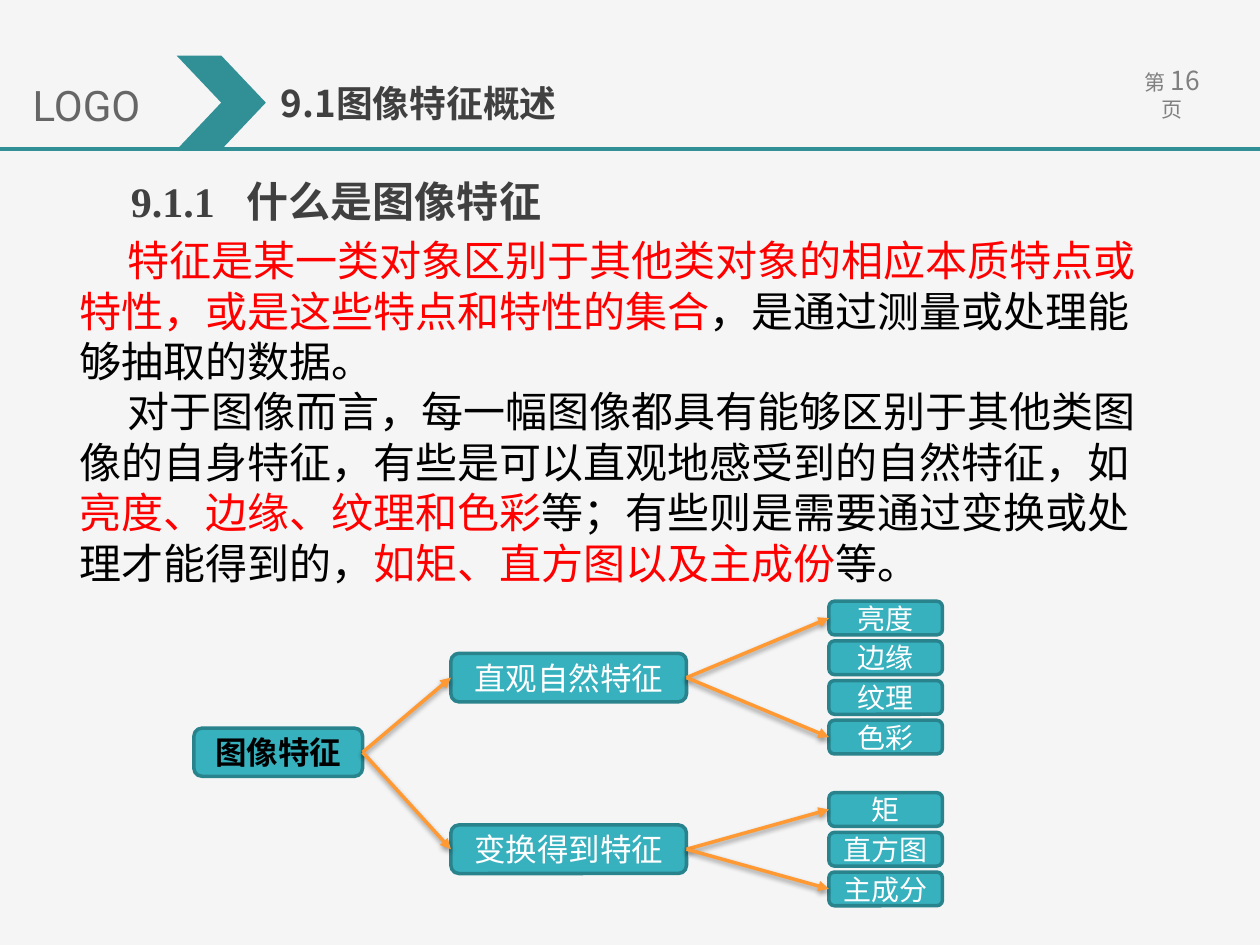
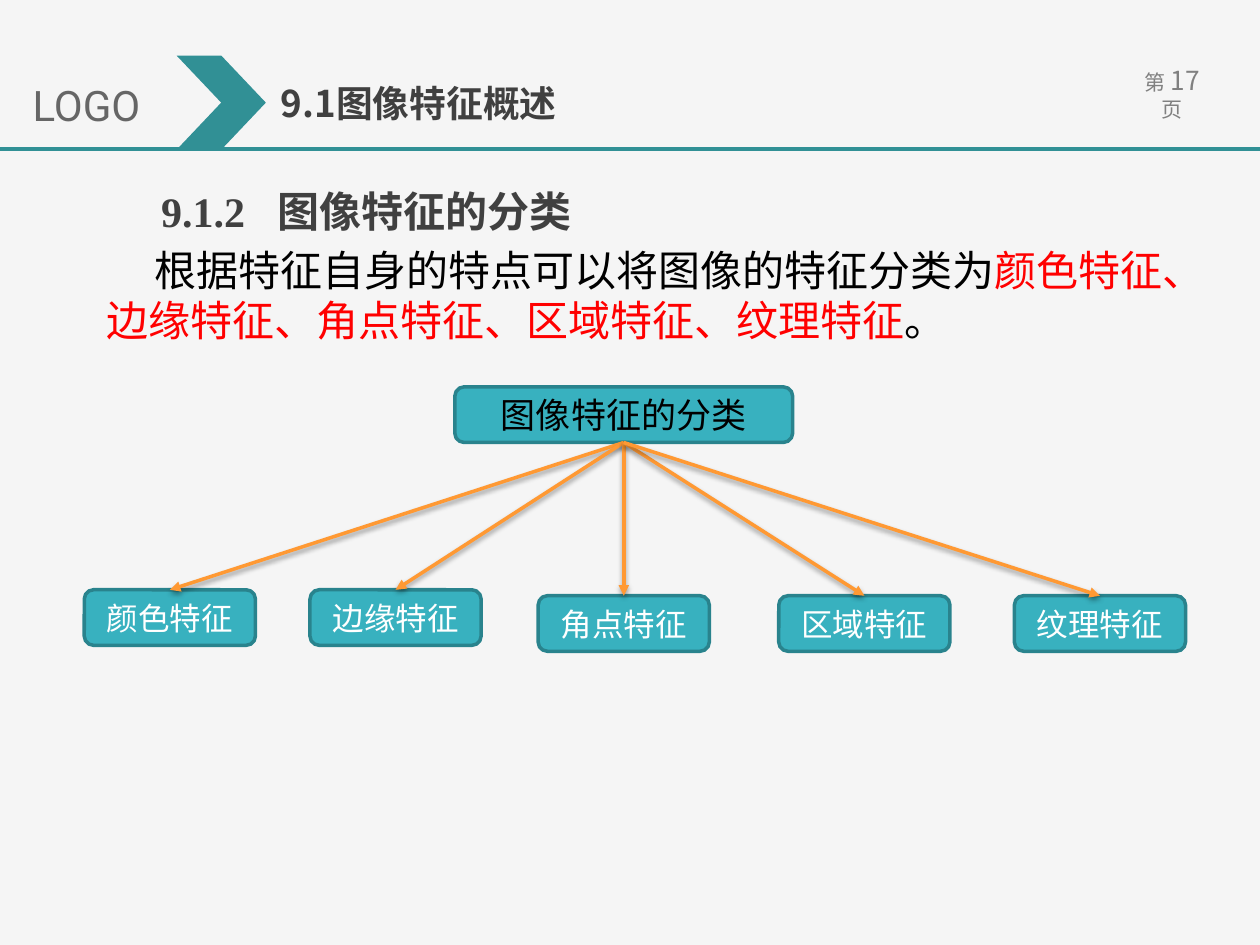
from lxml import etree
from pptx import Presentation
from pptx.dml.color import RGBColor
from pptx.enum import shapes as kinds, text as txt
from pptx.oxml import ns
from pptx.util import Cm, Pt

BACKGROUND = RGBColor(0xF5, 0xF5, 0xF5)
TEAL = RGBColor(0x31, 0x90, 0x95)
NODE_FILL = RGBColor(0x38, 0xB1, 0xBF)
NODE_LINE = RGBColor(0x29, 0x83, 0x8D)
ORANGE = RGBColor(0xFF, 0x99, 0x33)
RED = RGBColor(0xFF, 0x00, 0x00)
BLACK = RGBColor(0x00, 0x00, 0x00)
WHITE = RGBColor(0xFF, 0xFF, 0xFF)
DARK_GREY = RGBColor(0x40, 0x40, 0x40)
LOGO_GREY = RGBColor(0x66, 0x66, 0x66)
PAGE_GREY = RGBColor(0x80, 0x80, 0x80)
CJK, SERIF, LATIN = "Noto Sans CJK SC", "Times New Roman", "Roboto"

TOP, LEFT, BOTTOM, RIGHT = range(4)
SHOWN_LINE = Pt(28.8)


def child(parent, tag, **attributes):
    return etree.SubElement(parent, ns.qn(tag), attributes)


def style(paragraph, size, color, face=SERIF, bold=False):
    """Set the paragraph font, with the Chinese face for East Asian text."""
    font = paragraph.font
    font.name, font.size, font.bold = face, Pt(size), bold
    font.color.rgb = color
    latin = paragraph._p.pPr.find(ns.qn("a:defRPr")).find(ns.qn("a:latin"))
    east_asian = etree.Element(ns.qn("a:ea"), typeface=CJK)
    latin.addnext(east_asian)


def text_frame(slide, left, top, width, height, wrap=True):
    box = slide.shapes.add_textbox(Cm(left), Cm(top), Cm(width), Cm(height))
    box.text_frame.word_wrap = wrap
    return box.text_frame


def add_line(slide, color, weight, start=(0, 0), end=(0, 0)):
    """Draw a straight connector and return it with its empty effect list."""
    line = slide.shapes.add_connector(
        kinds.MSO_CONNECTOR.STRAIGHT, *map(Cm, start + end))
    line.line.color.rgb = color
    line.line.width = Pt(weight)
    return line, child(line._element.spPr, "a:effectLst")


def add_arrow(slide, parent, parent_side, target, target_side):
    arrow, effects = add_line(slide, ORANGE, 2)
    arrow.begin_connect(parent, parent_side)
    arrow.end_connect(target, target_side)
    child(arrow.line._get_or_add_ln(), "a:tailEnd", type="triangle")
    shadow = child(effects, "a:outerShdw", blurRad=str(Pt(3.1)),
                   dist=str(Pt(1.6)), dir="5400000", rotWithShape="0")
    black = child(shadow, "a:srgbClr", val=str(BLACK))
    child(black, "a:alpha", val="38000")


def add_node(slide, label, left, top, width, height, size=18, color=WHITE, bold=False):
    node = slide.shapes.add_shape(kinds.MSO_SHAPE.ROUNDED_RECTANGLE,
                                  Cm(left), Cm(top), Cm(width), Cm(height))
    node.shadow.inherit = False
    node.fill.solid()
    node.fill.fore_color.rgb = NODE_FILL
    node.line.color.rgb = NODE_LINE
    node.line.width = Pt(2)
    frame = node.text_frame
    frame.margin_left = frame.margin_right = frame.margin_top = frame.margin_bottom = 0
    frame.vertical_anchor = txt.MSO_ANCHOR.MIDDLE
    paragraph = frame.paragraphs[0]
    paragraph.text = label
    paragraph.alignment = txt.PP_ALIGN.CENTER
    style(paragraph, size, color, bold=bold)
    return node


def add_page_number(slide, number, left, top):
    frame = text_frame(slide, left, top, 2.36, 0.89)
    frame.margin_left = frame.margin_right = Cm(0.4)
    frame.margin_top = Cm(0.28)
    paragraph = frame.paragraphs[0]
    paragraph.alignment = txt.PP_ALIGN.CENTER
    paragraph.line_spacing = Pt(15)
    style(paragraph, 12, PAGE_GREY, CJK)
    for part, size in (("第", 12), (" ", 13.5), (str(number), 15), (" ", 13.5), ("页", 12)):
        run = paragraph.add_run()
        run.text = part
        run.font.size = Pt(size)


def add_header(slide, number):
    add_page_number(slide, number, 22.45, 1.12)
    add_line(slide, TEAL, 2.25, (0, 3), (25.4, 3))

    title = text_frame(slide, 5.41, 1.5, 8.51, 1.14)
    title.vertical_anchor = txt.MSO_ANCHOR.MIDDLE
    title.text = "9.1图像特征概述"
    style(title.paragraphs[0], 21, DARK_GREY, CJK, bold=True)

    chevron = slide.shapes.add_shape(kinds.MSO_SHAPE.CHEVRON,
                                     Cm(3.56), Cm(1.12), Cm(1.8), Cm(1.9))
    chevron.shadow.inherit = False
    chevron.fill.solid()
    chevron.fill.fore_color.rgb = TEAL
    chevron.line.fill.background()

    logo = text_frame(slide, 0.41, 1.47, 3.18, 1.3, wrap=False)
    logo.text = "LOGO"
    style(logo.paragraphs[0], 24, LOGO_GREY, LATIN)


def add_section_heading(slide, number, heading, left, top):
    frame = text_frame(slide, left, top, 9.5, 1.27)
    frame.margin_top = Cm(0.21)
    paragraph = frame.paragraphs[0]
    paragraph.text = f"{number}\t{heading}"
    paragraph.line_spacing = SHOWN_LINE
    tabs = child(paragraph._p.get_or_add_pPr(), "a:tabLst")
    child(tabs, "a:tab", pos=str(Cm(2.34)), algn="l")
    style(paragraph, 24, DARK_GREY, bold=True)


def add_body(slide, passages, left, top, width, height):
    """Each passage is a list of (text, colour) pieces."""
    frame = text_frame(slide, left, top, width, height)
    frame.margin_top = Cm(0.21)
    for index, pieces in enumerate(passages):
        paragraph = frame.add_paragraph() if index else frame.paragraphs[0]
        paragraph.line_spacing = SHOWN_LINE
        paragraph._p.get_or_add_pPr().set("indent", str(Cm(0.97)))
        style(paragraph, 24, BLACK)
        for words, color in pieces:
            run = paragraph.add_run()
            run.text = words
            run.font.color.rgb = color


def add_feature_tree(slide, left, top):
    """Root on the left, two branches, and a stack of leaves for each."""
    leaf_height, leaf_pitch, branch_height = 0.68, 0.8, 0.98
    root = add_node(slide, "图像特征", left, top + 2.56, 3.4, 0.97, color=BLACK, bold=True)
    branches = (("直观自然特征", 0, ("亮度", "边缘", "纹理", "色彩")),
                ("变换得到特征", 3.86, ("矩", "直方图", "主成分")))
    for label, offset, leaf_labels in branches:
        stack_height = (len(leaf_labels) - 1) * leaf_pitch + leaf_height
        branch_top = top + offset + (stack_height - branch_height) / 2
        branch = add_node(slide, label, left + 5.18, branch_top, 4.75, branch_height)
        leaves = [add_node(slide, leaf, left + 12.8, top + offset + row * leaf_pitch,
                           2.29, leaf_height, size=16)
                  for row, leaf in enumerate(leaf_labels)]
        add_arrow(slide, root, RIGHT, branch, LEFT)
        for leaf in (leaves[0], leaves[-1]):
            add_arrow(slide, branch, RIGHT, leaf, LEFT)


def add_class_chart(slide, left, top):
    """Root on top with one row of classes below."""
    root = add_node(slide, "图像特征的分类", left + 7.47, top, 6.81, 1.12,
                    size=20, color=BLACK)
    classes = (("颜色特征", 0, 4.09), ("边缘特征", 4.55, 4.09), ("角点特征", 9.15, 4.21),
               ("区域特征", 14, 4.21), ("纹理特征", 18.75, 4.21))
    for label, across, down in classes:
        node = add_node(slide, label, left + across, top + down, 3.45, 1.12)
        add_arrow(slide, root, BOTTOM, node, TOP)


def new_slide(deck, number):
    slide = deck.slides.add_slide(deck.slide_layouts[6])
    slide.background.fill.solid()
    slide.background.fill.fore_color.rgb = BACKGROUND
    add_header(slide, number)
    return slide


def build_definition_slide(deck):
    slide = new_slide(deck, 16)
    add_body(slide, [
        [("特征是某一类对象区别于其他类对象的相应本质特点或特性，或是这些特点和特性的集合", RED),
         ("，是通过测量或处理能够抽取的数据。", BLACK)],
        [("对于图像而言，每一幅图像都具有能够区别于其他类图像的自身特征，"
          "有些是可以直观地感受到的自然特征，如", BLACK),
         ("亮度、边缘、纹理和色彩", RED),
         ("等；有些则是需要通过变换或处理才能得到的，", BLACK),
         ("如矩、直方图以及主成份", RED),
         ("等。", BLACK)],
    ], 1.35, 4.52, 22.17, 7.44)
    add_section_heading(slide, "9.1.1", "什么是图像特征", 2.39, 3.33)
    add_feature_tree(slide, 3.91, 12.12)


def build_classes_slide(deck):
    slide = new_slide(deck, 17)
    add_body(slide, [
        [("根据特征自身的特点可以将图像的特征分类为", BLACK),
         ("颜色特征、边缘特征、角点特征、区域特征、纹理特征", RED),
         ("。", BLACK)],
    ], 1.9, 4.72, 22.56, 2.31)
    add_section_heading(slide, "9.1.2", "图像特征的分类", 3, 3.53)
    add_class_chart(slide, 1.7, 7.8)


def main():
    deck = Presentation()
    deck.slide_width, deck.slide_height = Cm(25.4), Cm(19.05)
    build_definition_slide(deck)
    build_classes_slide(deck)
    deck.save("out.pptx")


if __name__ == "__main__":
    main()
